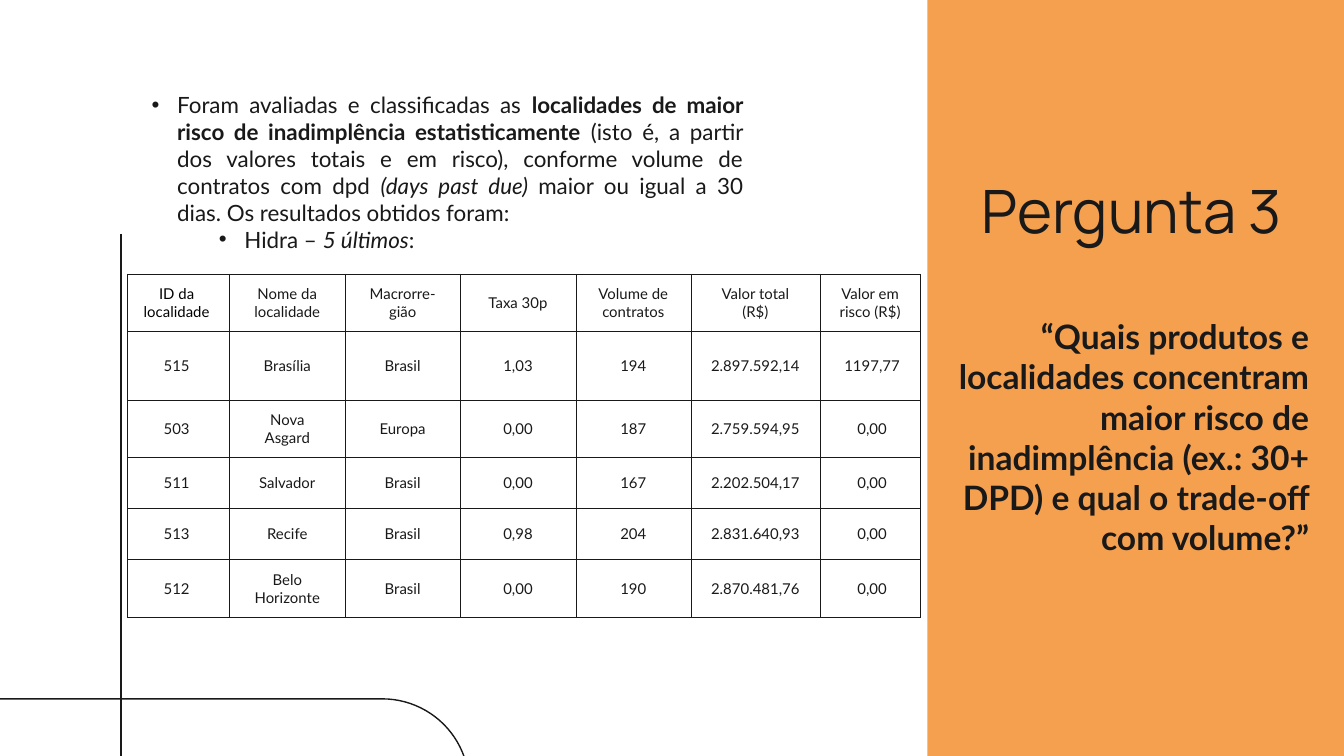
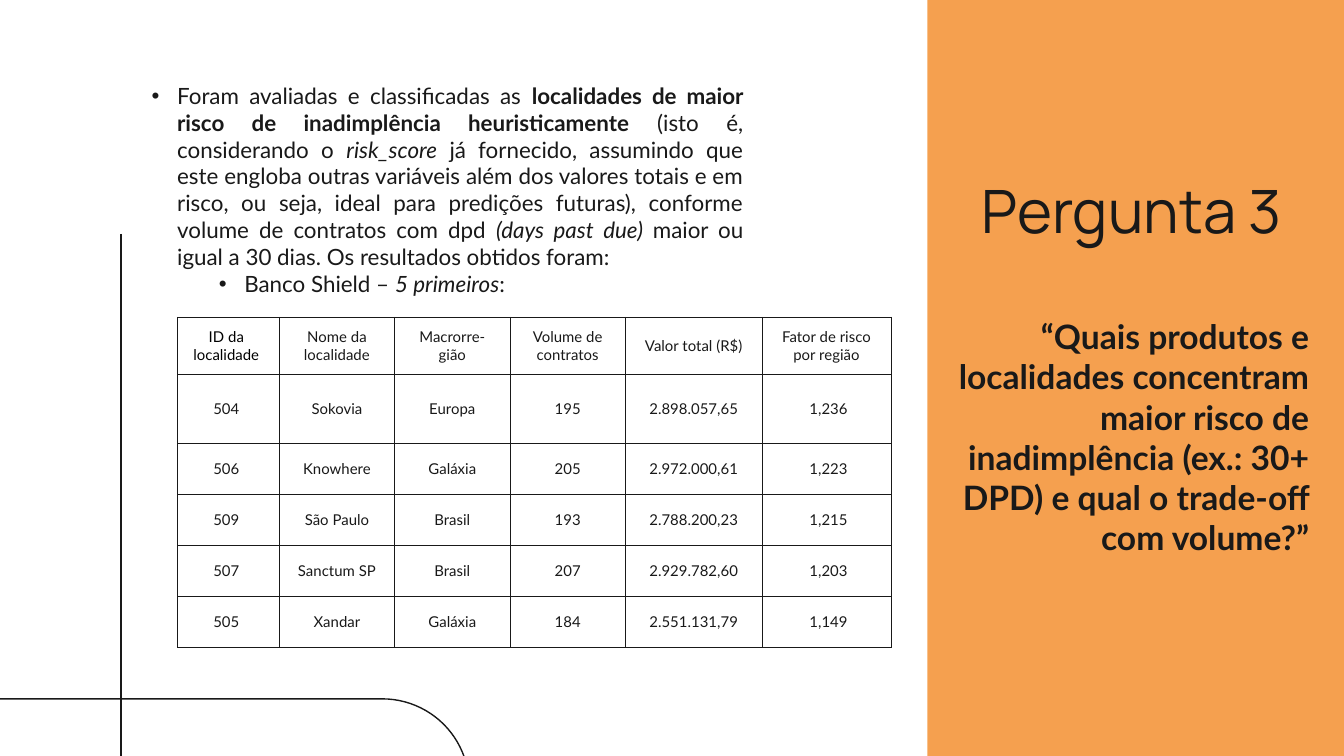
import pptx
import pptx.dml.color
import pptx.enum.shapes
import pptx.enum.text
import pptx.oxml
import pptx.oxml.ns
import pptx.util
from pptx.util import Inches

ALIGN = pptx.enum.text.PP_ALIGN
ANCHOR = pptx.enum.text.MSO_ANCHOR
COLOR = pptx.dml.color.RGBColor.from_string
POINTS = pptx.util.Pt

# Theme: colours, type and frame settings
THEME = {
    "ink": COLOR("191919"),
    "black": COLOR("000000"),
    "orange": COLOR("F5A04F"),
    "title": {"name": "Manrope", "size": POINTS(32), "bold": False},
    "question": {"name": "Lato", "size": POINTS(18), "bold": True},
    "body": {"name": "Lato", "size": POINTS(12)},
    "cell": {"name": "Lato", "size": POINTS(8), "bold": False},
    "frame": {
        "word_wrap": True,
        "auto_size": pptx.enum.text.MSO_AUTO_SIZE.NONE,
        "vertical_anchor": ANCHOR.TOP,
        **{f"margin_{side}": Inches(0.1) for side in ("left", "top", "right", "bottom")},
    },
}
DRAWING = pptx.oxml.ns.nsdecls("a")

TITLE = "Pergunta 3"
QUESTION = (
    "“Quais produtos e localidades concentram maior risco de inadimplência "
    "(ex.: 30+ DPD) e qual o trade-off com volume?”"
)
OPENING = ("Foram avaliadas e classificadas as ", {})
DAYS_PAST_DUE = ("(days past due) ", {"italic": True})
CLOSING = ("maior ou igual a 30 dias. Os resultados obtidos foram:", {})

# Content of each slide
SLIDES = [
    {
        "text_top": 0.58,
        "paragraphs": [
            [
                OPENING,
                ("localidades de maior risco de inadimplência estatisticamente", {"bold": True}),
                (" (isto é, a partir dos valores totais e em risco), conforme volume "
                 "de contratos com dpd ", {}),
                DAYS_PAST_DUE,
                CLOSING,
            ],
            [("Hidra – ", {}), ("5 últimos", {"italic": True}), (":", {})],
        ],
        "table_at": (0.95, 2.04),
        "table_width": 5.9,
        "columns": [0.76, 0.86, 0.86, 0.86, 0.86, 0.96, 0.75],
        "rows": [
            ["ID da localidade", "Nome da localidade", "Macrorre-gião", "Taxa 30p",
             "Volume de contratos", "Valor total (R$)", "Valor em risco (R$)"],
            ["515", "Brasília", "Brasil", "1,03", "194", "2.897.592,14", "1197,77"],
            ["503", "Nova Asgard", "Europa", "0,00", "187", "2.759.594,95", "0,00"],
            ["511", "Salvador", "Brasil", "0,00", "167", "2.202.504,17", "0,00"],
            ["513", "Recife", "Brasil", "0,98", "204", "2.831.640,93", "0,00"],
            ["512", "Belo Horizonte", "Brasil", "0,00", "190", "2.870.481,76", "0,00"],
        ],
    },
    {
        "text_top": 0.51,
        "paragraphs": [
            [
                OPENING,
                ("localidades de maior risco de inadimplência heuristicamente", {"bold": True}),
                (" (isto é, considerando o ", {}),
                ("risk_score", {"italic": True}),
                (" já fornecido, assumindo que este engloba outras variáveis além dos "
                 "valores totais e em risco, ou seja, ideal para predições futuras), "
                 "conforme volume de contratos com dpd ", {}),
                DAYS_PAST_DUE,
                CLOSING,
            ],
            [("Banco Shield – ", {}), ("5 primeiros", {"italic": True}), (":", {})],
        ],
        "table_at": (1.32, 2.36),
        "table_width": 5.31,
        "columns": [0.76, 0.86, 0.86, 0.86, 1.02, 0.96],
        "rows": [
            ["ID da localidade", "Nome da localidade", "Macrorre-gião",
             "Volume de contratos", "Valor total (R$)", "Fator de risco por região"],
            ["504", "Sokovia", "Europa", "195", "2.898.057,65", "1,236"],
            ["506", "Knowhere", "Galáxia", "205", "2.972.000,61", "1,223"],
            ["509", "São Paulo", "Brasil", "193", "2.788.200,23", "1,215"],
            ["507", "Sanctum SP", "Brasil", "207", "2.929.782,60", "1,203"],
            ["505", "Xandar", "Galáxia", "184", "2.551.131,79", "1,149"],
        ],
    },
]


def apply_format(target, values):
    for name, value in values.items():
        setattr(target, name, value)


def add_run(paragraph, text, font_format, color=THEME["ink"]):
    run = paragraph.add_run()
    run.text = text
    apply_format(run.font, font_format)
    run.font.color.rgb = color


# Widescreen page, 16 to 9
presentation = pptx.Presentation()
presentation.slide_width = Inches(10)
presentation.slide_height = Inches(10) * 9 // 16
layout = presentation.slide_layouts[5]

for number, content in enumerate(SLIDES):
    slide = presentation.slides.add_slide(layout)

    # Shared decoration: drawn once, then moved to the layout
    if number == 0:
        panel = slide.shapes.add_shape(
            pptx.enum.shapes.MSO_SHAPE.RECTANGLE,
            Inches(6.9), Inches(-0.01), Inches(3.1), Inches(5.65))
        panel.fill.solid()
        panel.fill.fore_color.rgb = THEME["orange"]
        panel.line.fill.background()

        pill = slide.shapes.add_shape(
            pptx.enum.shapes.MSO_SHAPE.ROUNDED_RECTANGLE,
            Inches(-1.06), Inches(5.2), Inches(4.55), Inches(1.29))
        pill.adjustments[0] = 0.5
        pill.fill.background()

        rule = slide.shapes.add_connector(
            pptx.enum.shapes.MSO_CONNECTOR.STRAIGHT,
            Inches(0.9), Inches(1.74), Inches(0.9), Inches(5.63))
        for outlined in (pill, rule):
            outlined.line.color.rgb = THEME["ink"]
            outlined.line.width = POINTS(0.75)
        rule._element.spPr.append(pptx.oxml.parse_xml(f"<a:effectLst {DRAWING}/>"))
        for shape in (panel, pill):
            shape.shadow.inherit = False
        for position, shape in enumerate((panel, pill, rule), start=2):
            layout.shapes._spTree.insert(position, shape._element)

    # Title
    title = slide.shapes.title
    apply_format(title, {"left": Inches(6.67), "top": Inches(1.19),
                         "width": Inches(3.5), "height": Inches(0.74)})
    apply_format(title.text_frame, THEME["frame"])
    paragraph = title.text_frame.paragraphs[0]
    paragraph.alignment = ALIGN.CENTER
    add_run(paragraph, TITLE, THEME["title"])

    # Question
    question = slide.shapes.add_textbox(
        Inches(6.99), Inches(2.25), Inches(2.85), Inches(1.66))
    apply_format(question.text_frame, THEME["frame"])
    paragraph = question.text_frame.paragraphs[0]
    paragraph.alignment = ALIGN.RIGHT
    add_run(paragraph, QUESTION, THEME["question"])

    # Bulleted explanation
    explanation = slide.shapes.add_textbox(
        Inches(1.03), Inches(content["text_top"]), Inches(4.6), Inches(1.96))
    frame = explanation.text_frame
    apply_format(frame, THEME["frame"])
    for level, runs in enumerate(content["paragraphs"]):
        paragraph = frame.add_paragraph() if level else frame.paragraphs[0]
        apply_format(paragraph, {"level": level, "alignment": ALIGN.JUSTIFY})
        properties = paragraph._p.get_or_add_pPr()
        properties.set("marL", str(Inches(0.19 + 0.5 * level)))
        properties.set("indent", str(Inches(-0.19)))
        for bullet in (f'<a:buClr {DRAWING}><a:srgbClr val="{THEME["ink"]}"/></a:buClr>',
                       f'<a:buFont {DRAWING} typeface="Arial"/>',
                       f'<a:buChar {DRAWING} char="•"/>'):
            properties.append(pptx.oxml.parse_xml(bullet))
        for text, emphasis in runs:
            add_run(paragraph, text, {**THEME["body"], **emphasis})

    # Table of localities
    rows, columns = content["rows"], content["columns"]
    left, top = content["table_at"]
    heights = [0.51 if row == 1 else 0.38 for row in range(len(rows))]
    table = slide.shapes.add_table(
        len(rows), len(columns), Inches(left), Inches(top),
        Inches(content["table_width"]), Inches(sum(heights))).table
    apply_format(table, {"first_row": False, "horz_banding": False})
    for column, width in zip(table.columns, columns):
        column.width = Inches(width * content["table_width"] / sum(columns))
    for row, height in zip(table.rows, heights):
        row.height = Inches(height)

    for row, values in enumerate(rows):
        for column, value in enumerate(values):
            cell = table.cell(row, column)
            header, first, last = row == 0, column == 0, column == len(columns) - 1
            side = 0.12 if header else 0.13
            apply_format(cell, {
                "vertical_anchor": ANCHOR.MIDDLE,
                "margin_left": Inches(side - 0.03 if first else side),
                "margin_right": Inches(0.1 if last and not header else side),
                "margin_top": Inches(0.08),
                "margin_bottom": Inches(0.08),
            })
            cell_properties = cell._tc.get_or_add_tcPr()
            for edge in "LRTB":
                cell_properties.append(pptx.oxml.parse_xml(
                    f'<a:ln{edge} {DRAWING} w="{POINTS(0.25)}"><a:solidFill>'
                    f'<a:srgbClr val="{THEME["ink"]}"/></a:solidFill></a:ln{edge}>'))
            cell.fill.background()
            paragraph = cell.text_frame.paragraphs[0]
            paragraph.alignment = ALIGN.CENTER
            add_run(paragraph, value, THEME["cell"],
                    THEME["black"] if header and first else THEME["ink"])

presentation.save("out.pptx")
